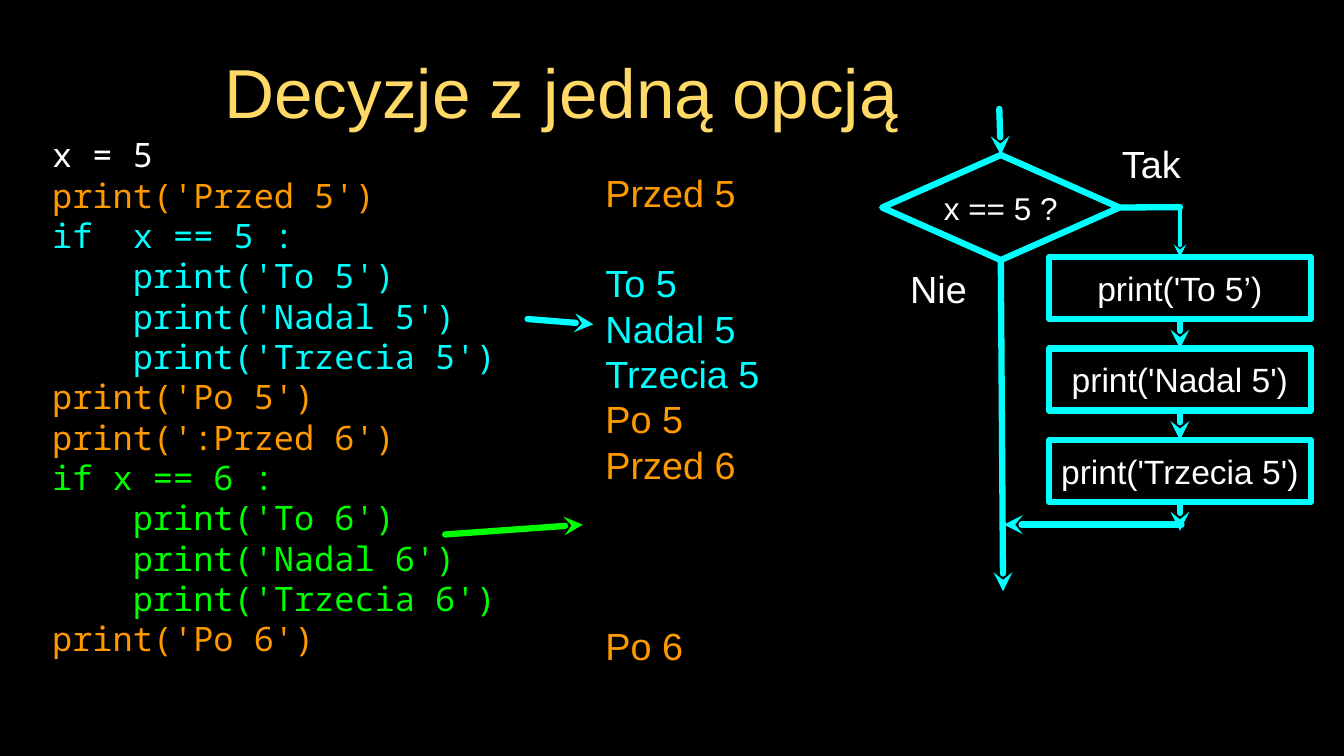
from lxml.etree import SubElement
from pptx import Presentation
from pptx.dml.color import RGBColor
from pptx.enum.shapes import MSO_CONNECTOR, MSO_SHAPE
from pptx.enum.text import MSO_ANCHOR, PP_ALIGN
from pptx.oxml.ns import qn
from pptx.util import Inches, Pt

WHITE, YELLOW, ORANGE = "FFFFFF", "FFD966", "FF9900"
CYAN, GREEN = "00FFFF", "00FF00"
TOP, BOTTOM, RIGHT = 0, 2, 3
LINE_HEIGHT = 1.2


def color(hex_string):
    return RGBColor.from_string(hex_string)


class SlideBuilder:
    body_font = "Arial"
    code_font = "Noto Sans Mono"

    def __init__(self, slide):
        self.slide = slide
        slide.background.fill.solid()
        slide.background.fill.fore_color.rgb = color("000000")

    def prepare_frame(self, shape, wrap):
        frame = shape.text_frame
        frame.word_wrap = wrap
        frame.vertical_anchor = MSO_ANCHOR.MIDDLE
        frame.margin_left = frame.margin_right = 0
        frame.margin_top = frame.margin_bottom = 0
        return frame

    def style(self, paragraph, size, hex_string, font, align):
        paragraph.alignment = align
        paragraph.font.size = Pt(size)
        paragraph.font.name = font
        paragraph.font.color.rgb = color(hex_string)

    def label(self, left, top, width, height, text, size=36, hex_string=WHITE):
        box = self.slide.shapes.add_textbox(
            Inches(left), Inches(top), Inches(width), Inches(height))
        paragraph = self.prepare_frame(box, True).paragraphs[0]
        paragraph.text = text
        self.style(paragraph, size, hex_string, self.body_font, PP_ALIGN.CENTER)

    def listing(self, left, top, width, height, lines, size, font):
        """Lines are (text, colour, indent in characters, empty lines above)."""
        box = self.slide.shapes.add_textbox(
            Inches(left), Inches(top), Inches(width), Inches(height))
        frame = self.prepare_frame(box, True)
        pitch = size * LINE_HEIGHT
        for index, (text, hex_string, indent, gap) in enumerate(lines):
            paragraph = frame.add_paragraph() if index else frame.paragraphs[0]
            paragraph.text = text
            self.style(paragraph, size, hex_string, font, PP_ALIGN.LEFT)
            paragraph.line_spacing = Pt(pitch)
            paragraph.space_before = Pt(gap * pitch)
            if indent:
                properties = paragraph._p.get_or_add_pPr()
                properties.set("marL", str(Pt(indent * size * 0.6)))
                properties.set("indent", "0")

    def node(self, kind, left, top, width, height, text, size):
        shape = self.slide.shapes.add_shape(
            kind, Inches(left), Inches(top), Inches(width), Inches(height))
        shape.shadow.inherit = False
        shape.fill.background()
        shape.line.color.rgb = color(CYAN)
        shape.line.width = Pt(6)
        paragraph = self.prepare_frame(shape, False).paragraphs[0]
        paragraph.text = text
        self.style(paragraph, size, WHITE, self.body_font, PP_ALIGN.CENTER)
        return shape

    def line(self, start, end, hex_string=CYAN, width=6, arrow=True):
        """Each end is an (x, y) point or a (shape, side) pair."""
        connector = self.slide.shapes.add_connector(
            MSO_CONNECTOR.STRAIGHT, 0, 0, 0, 0)
        if isinstance(start[0], (int, float)):
            connector.begin_x, connector.begin_y = map(Inches, start)
        else:
            connector.begin_connect(*start)
        if isinstance(end[0], (int, float)):
            connector.end_x, connector.end_y = map(Inches, end)
        else:
            connector.end_connect(*end)
        connector.line.color.rgb = color(hex_string)
        connector.line.width = Pt(width)
        outline = connector.line._get_or_add_ln()
        outline.set("cap", "rnd")
        if arrow:
            SubElement(outline, qn("a:tailEnd"), type="stealth")
        SubElement(connector._element.spPr, qn("a:effectLst"))


def main():
    deck = Presentation()
    deck.slide_width, deck.slide_height = Inches(17.78), Inches(10)
    page = SlideBuilder(deck.slides.add_slide(deck.slide_layouts[6]))

    page.label(2.22, 0.62, 10.41, 1.17, "Decyzje z jedną opcją", 66, YELLOW)

    code = [
        ("x = 5", WHITE, 0, 0),
        ("print('Przed 5')", ORANGE, 0, 0),
        ("if  x == 5 :", CYAN, 0, 0),
        ("print('To 5')", CYAN, 4, 0),
        ("print('Nadal 5')", CYAN, 4, 0),
        ("print('Trzecia 5')", CYAN, 4, 0),
        ("print('Po 5')", ORANGE, 0, 0),
        ("print(':Przed 6')", ORANGE, 0, 0),
        ("if x == 6 :", GREEN, 0, 0),
        ("print('To 6')", GREEN, 4, 0),
        ("print('Nadal 6')", GREEN, 4, 0),
        ("print('Trzecia 6')", GREEN, 4, 0),
        ("print('Po 6')", ORANGE, 0, 0),
    ]
    page.listing(0.69, 1.69, 6.25, 7.11, code, 32, page.code_font)

    output = [
        ("Przed 5", ORANGE, 0, 0),
        ("To 5", CYAN, 0, 1),
        ("Nadal 5", CYAN, 0, 0),
        ("Trzecia 5", CYAN, 0, 0),
        ("Po 5", ORANGE, 0, 0),
        ("Przed 6", ORANGE, 0, 0),
        ("Po 6", ORANGE, 0, 3),
    ]
    page.listing(8.01, 2.28, 3.09, 6.52, output, 36, page.body_font)

    page.line((6.98, 4.22), (7.85, 4.29))
    page.line((5.89, 7.07), (7.71, 6.94), GREEN)

    decision = page.node(MSO_SHAPE.DIAMOND, 11.67, 2.05, 3.14, 1.39, "x == 5 ?", 30)
    steps = [
        page.node(MSO_SHAPE.RECTANGLE, 13.88, 3.4 + 1.21 * index, 3.46, 0.82, text, 32)
        for index, text in enumerate(
            ["print('To 5’)", "print('Nadal 5')", "print('Trzecia 5')"])
    ]
    page.label(14.62, 1.82, 1.22, 0.68, "Tak")
    page.label(12.02, 3.47, 0.79, 0.68, "Nie")

    page.line((13.22, 1.44), (decision, TOP))
    page.line((decision, BOTTOM), (13.27, 7.82))
    page.line((decision, RIGHT), (15.61, 2.74), arrow=False)
    page.line((15.61, 2.74), (steps[0], TOP), width=4)
    for upper, lower in zip(steps, steps[1:]):
        page.line((upper, BOTTOM), (lower, TOP))
    page.line((steps[-1], BOTTOM), (15.61, 7.02))
    page.line((15.63, 6.94), (13.28, 6.94))

    deck.save("out.pptx")


if __name__ == "__main__":
    main()
